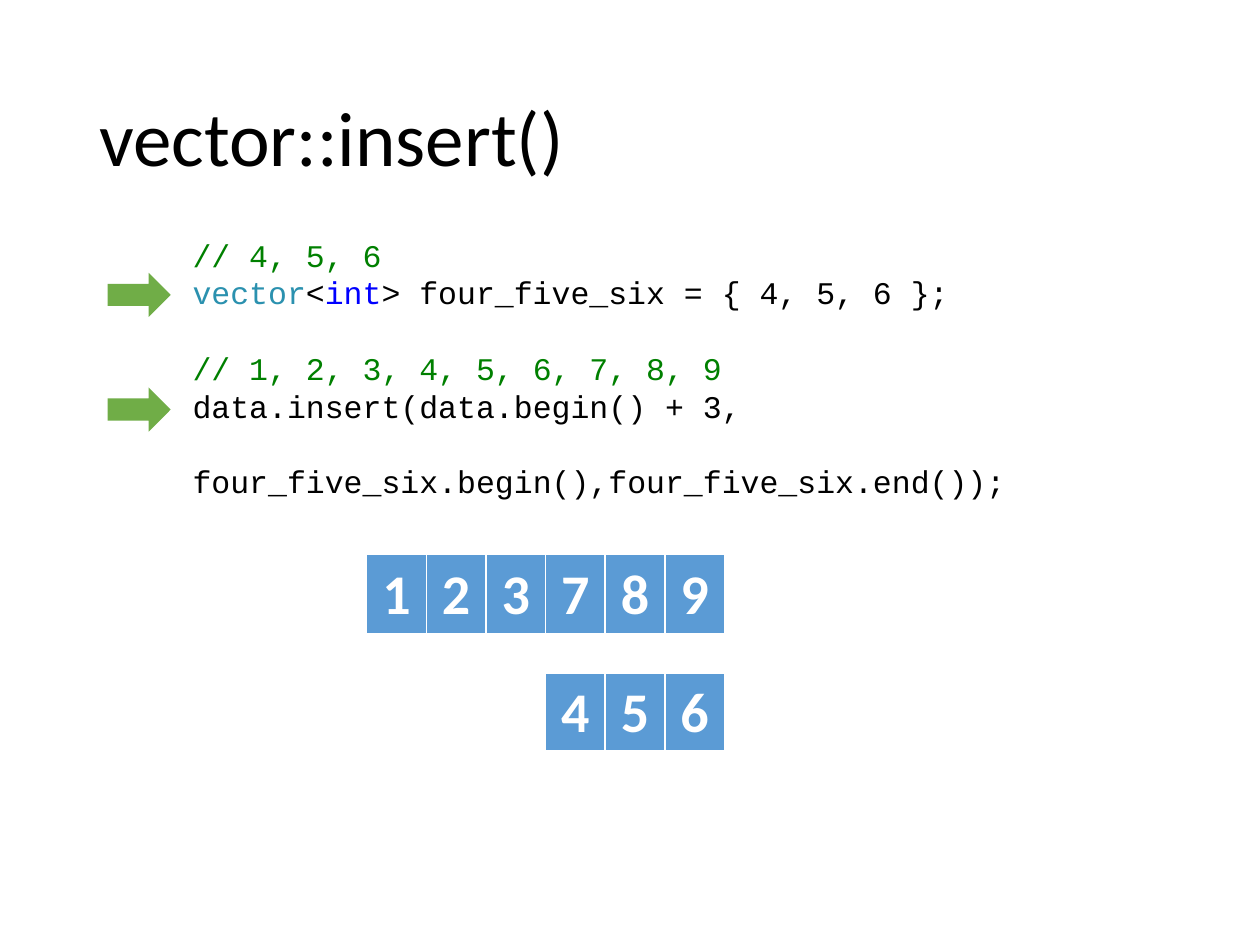
from dataclasses import dataclass

from lxml.etree import SubElement
from pptx import Presentation
from pptx.dml.color import RGBColor
from pptx.enum.shapes import MSO_SHAPE
from pptx.enum.text import MSO_ANCHOR, PP_ALIGN
from pptx.oxml.ns import qn
from pptx.util import Inches, Pt


@dataclass(frozen=True)
class Theme:
    body_font: str = "Calibri"
    code_font: str = "Courier New"
    title_size: float = 44
    cell_size: float = 32
    code_size: float = 18
    code_line: float = 21.6
    text: str = "000000"
    white: str = "FFFFFF"
    comment: str = "008000"
    type_name: str = "2B91AF"
    keyword: str = "0000FF"
    cell: str = "5B9BD5"
    arrow: str = "70AD47"


THEME = Theme()

# Vector grid: groups of three cells, placed by column and row
GROUP_SIZE = 3
GROUP_WIDTH, GROUP_HEIGHT = 1.42, 0.63
GRID_LEFT, GRID_TOP, ROW_STEP = 2.91, 4.4, 0.94
GROUPS = [("789", 1, 0), ("123", 0, 0), ("456", 1, 1)]

# Code blocks hold lines, and lines hold (text, colour) pieces
CODE = [
    [
        [("// 4, 5, 6", THEME.comment)],
        [("vector", THEME.type_name), ("<", THEME.text), ("int", THEME.keyword),
         ("> four_five_six = { 4, 5, 6 };", THEME.text)],
    ],
    [
        [("// 1, 2, 3, 4, 5, 6, 7, 8, 9", THEME.comment)],
        [("data.insert(data.begin() + 3,", THEME.text)],
    ],
    [[("four_five_six.begin(),four_five_six.end());", THEME.text)]],
]


def set_attributes(target, values):
    for name, value in values.items():
        setattr(target, name, value)


def place(shape, left, top, width, height):
    values = {"left": left, "top": top, "width": width, "height": height}
    set_attributes(shape, {name: Inches(value) for name, value in values.items()})


def add_run(paragraph, text, font, size, color, bold=False):
    run = paragraph.add_run()
    run.text = text
    set_attributes(run.font, {"name": font, "size": Pt(size), "bold": bold})
    run.font.color.rgb = RGBColor.from_string(color)


def set_title(slide, text):
    title = slide.shapes.title
    place(title, 0.69, 0.4, 8.62, 1.45)
    title.text_frame.vertical_anchor = MSO_ANCHOR.MIDDLE
    paragraph = title.text_frame.paragraphs[0]
    set_attributes(paragraph, {"alignment": PP_ALIGN.LEFT, "line_spacing": 0.9})
    add_run(paragraph, text, THEME.body_font, THEME.title_size, THEME.text)


def add_code(slide, blocks):
    box = slide.shapes.add_textbox(0, 0, 0, 0)
    place(box, 1.43, 1.82, 7.23, 1.92)
    frame = box.text_frame
    frame.word_wrap = True
    for block_index, block in enumerate(blocks):
        paragraph = frame.add_paragraph() if block_index else frame.paragraphs[0]
        paragraph.line_spacing = Pt(THEME.code_line)
        # One free line separates the blocks
        paragraph.space_before = Pt(THEME.code_line if block_index else 0)
        for line_index, line in enumerate(block):
            if line_index:
                paragraph.add_line_break()
            for text, color in line:
                add_run(paragraph, text, THEME.code_font, THEME.code_size, color)


def set_borders(cell):
    properties = cell._tc.get_or_add_tcPr()
    for side, width in {"L": 1, "R": 1, "T": 1, "B": 3}.items():
        line = SubElement(properties, qn(f"a:ln{side}"), w=str(Pt(width)))
        fill = SubElement(line, qn("a:solidFill"))
        SubElement(fill, qn("a:srgbClr"), val=THEME.white)


def add_group(slide, values, column, row):
    frame = slide.shapes.add_table(
        1, GROUP_SIZE,
        Inches(GRID_LEFT + column * GROUP_WIDTH), Inches(GRID_TOP + row * ROW_STEP),
        Inches(GROUP_WIDTH), Inches(GROUP_HEIGHT))
    for cell, value in zip(frame.table.iter_cells(), values):
        set_borders(cell)
        cell.fill.solid()
        cell.fill.fore_color.rgb = RGBColor.from_string(THEME.cell)
        paragraph = cell.text_frame.paragraphs[0]
        paragraph.alignment = PP_ALIGN.CENTER
        add_run(paragraph, value, THEME.body_font, THEME.cell_size, THEME.white, bold=True)


def add_arrow(slide, top):
    arrow = slide.shapes.add_shape(MSO_SHAPE.UP_ARROW, 0, 0, 0, 0)
    place(arrow, 0.93, top, 0.35, 0.5)
    arrow.rotation = 90
    arrow.shadow.inherit = False
    arrow.fill.solid()
    arrow.fill.fore_color.rgb = RGBColor.from_string(THEME.arrow)
    arrow.line.fill.background()


def main():
    presentation = Presentation()
    set_attributes(presentation, {"slide_width": Inches(10), "slide_height": Inches(7.5)})
    slide = presentation.slides.add_slide(presentation.slide_layouts.get_by_name("Title Only"))

    set_title(slide, "vector::insert()")
    # The two vectors being merged, then the code
    for values, column, row in GROUPS[:2]:
        add_group(slide, values, column, row)
    add_code(slide, CODE)
    add_group(slide, *GROUPS[2])
    # Markers beside the executed lines
    for top in (2.09, 3):
        add_arrow(slide, top)

    presentation.save("out.pptx")


if __name__ == "__main__":
    main()
